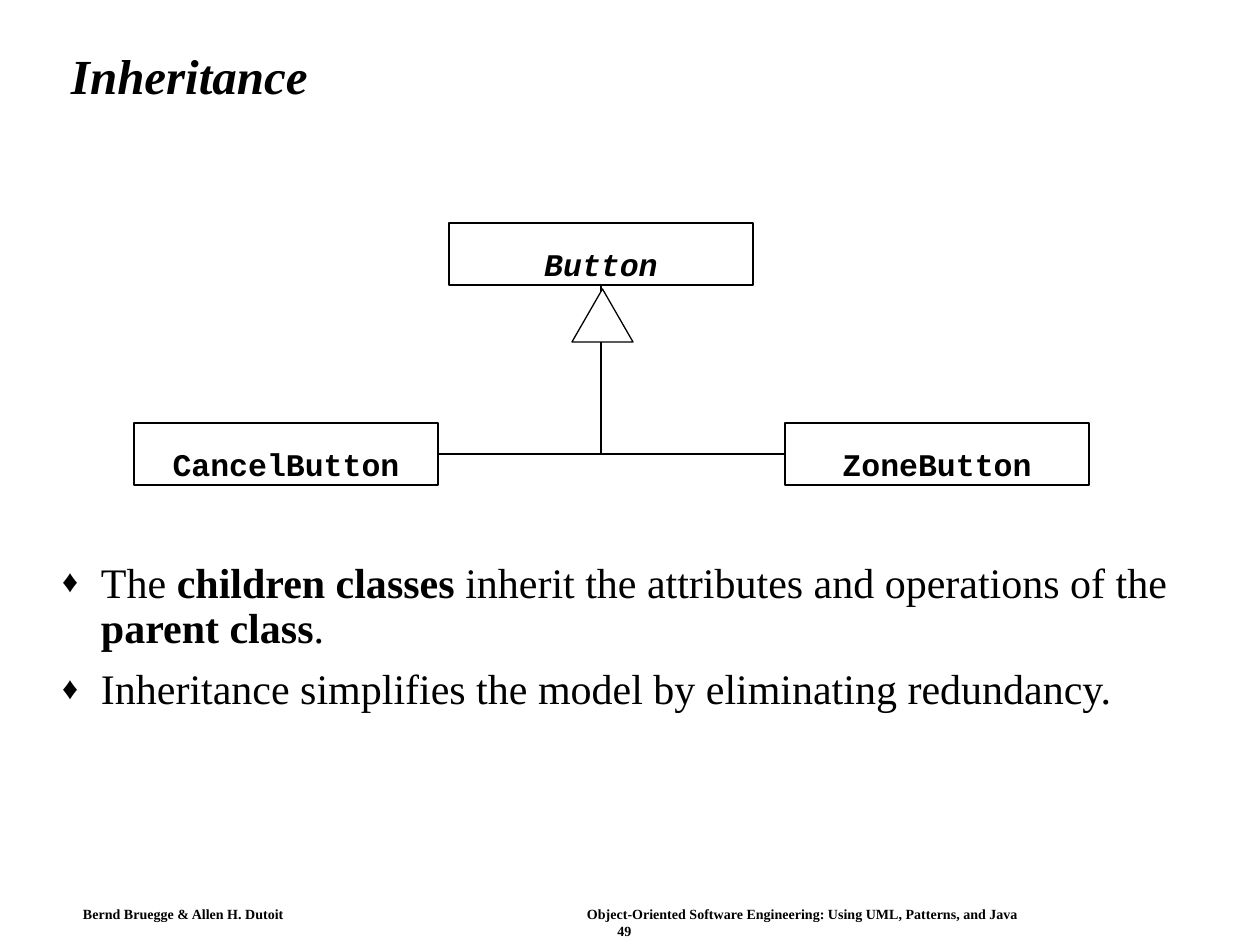
from dataclasses import dataclass

from lxml import etree
from pptx import Presentation
from pptx import util as u
from pptx.dml.color import RGBColor
from pptx.enum import shapes, text
from pptx.oxml.ns import qn

SCALE = 914400 / 126
TITLE_ONLY = 5
LEFT, BOTTOM, RIGHT = 1, 2, 3


def px(length):
    return u.Emu(round(length * SCALE))


@dataclass(frozen=True)
class Theme:
    ink: str = "000000"
    paper: str = "FFFFFF"
    serif: str = "Times New Roman"
    mono: str = "Courier New"
    title: int = 28
    body: int = 24
    label: int = 18
    footer: int = 8
    border: float = 1.25
    thin: float = 0.75


class Sheet:
    def __init__(self, deck, theme):
        self.theme = theme
        self.slide = deck.slides.add_slide(deck.slide_layouts[TITLE_ONLY])
        self.items = self.slide.shapes

    def color(self, value):
        return RGBColor.from_string(value)

    def frame(self, shape, insets, anchor):
        frame = shape.text_frame
        frame.word_wrap = True
        frame.auto_size = text.MSO_AUTO_SIZE.NONE
        frame.vertical_anchor = anchor
        (frame.margin_left, frame.margin_top,
         frame.margin_right, frame.margin_bottom) = map(px, insets)
        return frame

    def span(self, para, words, size, font=None, bold=False, italic=False):
        span = para.add_run()
        span.text = words
        span.font.name = font or self.theme.serif
        span.font.size = u.Pt(size)
        span.font.bold = bold
        span.font.italic = italic
        span.font.color.rgb = self.color(self.theme.ink)

    def outline(self, shape, width):
        shape.line.color.rgb = self.color(self.theme.ink)
        shape.line.width = u.Pt(width)

    def title(self, words, *place):
        box = self.items.title
        box.left, box.top, box.width, box.height = map(px, place)
        para = self.frame(box, (13, 6, 13, 6), text.MSO_ANCHOR.MIDDLE).paragraphs[0]
        para.alignment = text.PP_ALIGN.LEFT
        para.line_spacing = 0.9
        self.span(para, words, self.theme.title, bold=True, italic=True)

    def bullets(self, entries, *place):
        box = self.items.add_textbox(*map(px, place))
        frame = self.frame(box, (13, 6, 13, 6), text.MSO_ANCHOR.TOP)
        for index, entry in enumerate(entries):
            para = frame.add_paragraph() if index else frame.paragraphs[0]
            para.line_spacing = 0.9
            para.space_before = u.Pt(9)
            props = para._p.get_or_add_pPr()
            props.set("marL", str(px(39)))
            props.set("indent", str(-px(39)))
            etree.SubElement(props, qn("a:buSzPct"), val="75000")
            etree.SubElement(props, qn("a:buFont"), typeface=self.theme.serif)
            etree.SubElement(props, qn("a:buChar"), char="♦")
            for words, bold in entry:
                self.span(para, words, self.theme.body, bold=bold)

    def class_box(self, name, left, top, abstract=False):
        box = self.items.add_shape(shapes.MSO_SHAPE.RECTANGLE,
                                   *map(px, (left, top, 304, 62)))
        box.shadow.inherit = False
        box.fill.background()
        self.outline(box, self.theme.border)
        para = self.frame(box, (0, 0, 0, 2), text.MSO_ANCHOR.BOTTOM).paragraphs[0]
        para.alignment = text.PP_ALIGN.CENTER
        self.span(para, name, self.theme.label, self.theme.mono, True, abstract)
        return box

    def branch(self, child, side, parent):
        line = self.items.add_connector(shapes.MSO_CONNECTOR.ELBOW, 0, 0, 0, 0)
        line.begin_connect(child, side)
        line.end_connect(parent, BOTTOM)
        props = line._element.spPr
        props.find(qn("a:prstGeom")).set("prst", "bentConnector2")
        self.outline(line, self.theme.thin)
        etree.SubElement(props, qn("a:effectLst"))

    def triangle(self, *place):
        head = self.items.add_shape(shapes.MSO_SHAPE.ISOSCELES_TRIANGLE, *map(px, place))
        head.shadow.inherit = False
        head.fill.solid()
        head.fill.fore_color.rgb = self.color(self.theme.paper)
        self.outline(head, self.theme.thin)

    def footer(self, authors, book, number, *place):
        box = self.items.add_textbox(*map(px, place))
        frame = self.frame(box, (9, 5, 0, 0), text.MSO_ANCHOR.TOP)
        para = frame.paragraphs[0]
        tabs = etree.SubElement(para._p.get_or_add_pPr(), qn("a:tabLst"))
        etree.SubElement(tabs, qn("a:tab"), pos=str(px(504)), algn="l")
        for words in (authors, "\t", book):
            self.span(para, words, self.theme.footer, bold=True)
        para = frame.add_paragraph()
        para.alignment = text.PP_ALIGN.CENTER
        self.span(para, number, self.theme.footer, bold=True)


def main():
    deck = Presentation()
    deck.slide_width, deck.slide_height = px(1260), px(945)
    sheet = Sheet(deck, Theme())
    sheet.footer("Bernd Bruegge & Allen H. Dutoit",
                 "Object-Oriented Software Engineering: Using UML, Patterns, and Java",
                 "49", 74, 901, 1092, 40)
    sheet.title("Inheritance", 58, 30, 1124, 97)
    sheet.bullets([
        [("The ", False), ("children classes", True),
         (" inherit the attributes and operations of the ", False),
         ("parent class", True), (".", False)],
        [("Inheritance simplifies the model by eliminating redundancy.", False)],
    ], 49, 556, 1138, 301)
    parent = sheet.class_box("Button", 449, 223, abstract=True)
    for name, left, side in (("ZoneButton", 785, LEFT), ("CancelButton", 134, RIGHT)):
        sheet.branch(sheet.class_box(name, left, 423), side, parent)
    sheet.triangle(572, 289, 61, 53)
    deck.save("out.pptx")


if __name__ == "__main__":
    main()
